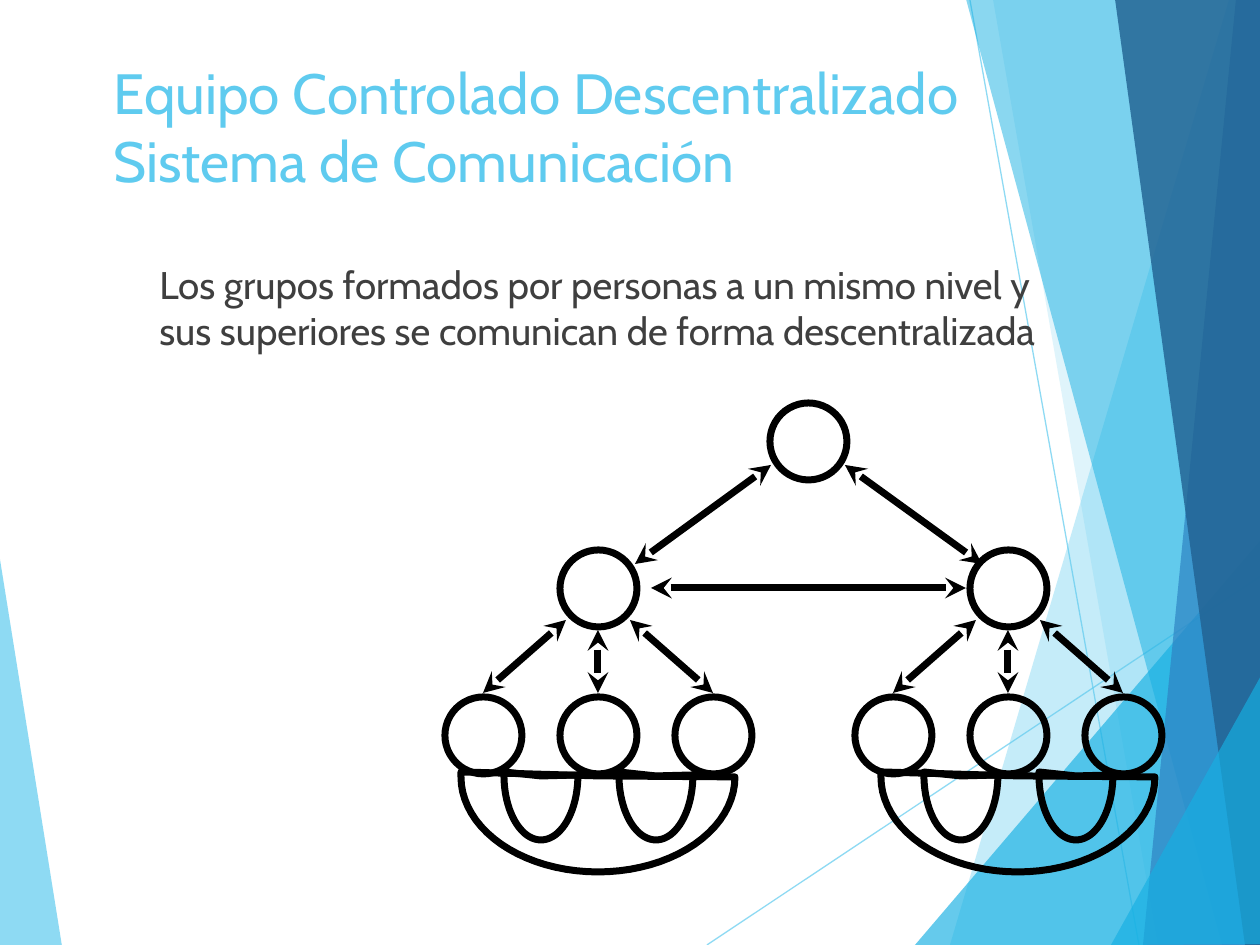
from dataclasses import dataclass
from math import cos, pi, sin

from pptx import Presentation
from pptx.dml.color import RGBColor
from pptx.enum.shapes import MSO_CONNECTOR, MSO_SHAPE
from pptx.enum.text import MSO_ANCHOR, MSO_AUTO_SIZE, PP_ALIGN
from pptx.oxml.ns import qn
from pptx.util import Pt
from lxml.etree import SubElement

PX = 7257


@dataclass(frozen=True)
class Theme:
    font: str = "Cabin"
    sky: str = "5FCBEF"
    cyan: str = "16B0E3"
    blue: str = "2E83C3"
    navy: str = "226292"
    ink: str = "000000"
    body: str = "3F3F3F"
    title_size: float = 32.4
    body_size: float = 22
    hairline: float = 0.75
    stroke: float = 4


def set_opacity(shape, percent):
    for color in shape.element.iter(qn("a:srgbClr")):
        SubElement(color, qn("a:alpha")).set("val", str(percent * 1000))


def connect(start, end, color, width, arrows=False):
    connector = slide.shapes.add_connector(
        MSO_CONNECTOR.STRAIGHT, *[value * PX for value in (*start, *end)])
    connector.line.color.rgb = RGBColor.from_string(color)
    connector.line.width = Pt(width)
    SubElement(connector.element.spPr, qn("a:effectLst"))
    if arrows:
        line = connector.element.spPr.find(qn("a:ln"))
        for end_name in ("a:headEnd", "a:tailEnd"):
            SubElement(line, qn(end_name)).set("type", "stealth")
    return connector


theme = Theme()
presentation = Presentation()
presentation.slide_width = 1260 * PX
presentation.slide_height = 945 * PX
slide = presentation.slides.add_slide(presentation.slide_layouts[5])

for start, end in [((707, 945), (1261, 576)), ((970, 0), (1139, 945))]:
    set_opacity(connect(start, end, theme.sky, theme.hairline), 70)

facets = [
    (theme.sky, 70, [(-1, 553), (62, 946), (-1, 945)]),
    (theme.sky, 36, [(1229, 0), (950, 945), (1262, 946), (1261, 0)]),
    (theme.sky, 20, [(993, -1), (1158, 945), (1261, 945), (1261, -1)]),
    (theme.cyan, 66, [(915, 945), (1260, 541), (1261, 945)]),
    (theme.cyan, 50, [(966, -1), (1222, 945), (1261, 944), (1261, -1)]),
    (theme.blue, 70, [(1236, -1), (1143, 945), (1261, 945), (1260, -1)]),
    (theme.navy, 82, [(1115, -1), (1245, 945), (1262, 945), (1260, -1)]),
    (theme.cyan, 66, [(1111, 945), (1262, 674), (1262, 944)]),
]
for color, opacity, points in facets:
    builder = slide.shapes.build_freeform(*points[0], scale=PX)
    builder.add_line_segments(points[1:], close=True)
    facet = builder.convert_to_shape()
    facet.shadow.inherit = False
    facet.fill.solid()
    facet.fill.fore_color.rgb = RGBColor.from_string(color)
    facet.line.fill.background()
    set_opacity(facet, opacity)

title = slide.shapes.title
slide.shapes.element.append(title.element)
title.left, title.top, title.width, title.height = [
    value * PX for value in (101, 47, 1134, 157)]
title.text_frame.text = "Equipo Controlado Descentralizado\vSistema de Comunicación"
title.text_frame.vertical_anchor = MSO_ANCHOR.MIDDLE
body = slide.shapes.add_textbox(147 * PX, 255 * PX, 938 * PX, 567 * PX)
body.text_frame.text = (
    "Los grupos formados por personas a un mismo nivel y sus superiores "
    "se comunican de forma descentralizada")
for shape, size, color in [(title, theme.title_size, theme.sky),
                           (body, theme.body_size, theme.body)]:
    shape.text_frame.word_wrap = True
    shape.text_frame.auto_size = MSO_AUTO_SIZE.NONE
    paragraph = shape.text_frame.paragraphs[0]
    paragraph.alignment = PP_ALIGN.LEFT
    paragraph.font.name = theme.font
    paragraph.font.size = Pt(size)
    paragraph.font.color.rgb = RGBColor.from_string(color)

node_size = 77
child_gap = 115
leaders = [598, 1008]
nodes = [(808, 441)]
links = [((635, 564), (771, 465)), ((982, 564), (845, 465)), ((651, 588), (966, 588))]
for leader in leaders:
    nodes.append((leader, 588))
    links.append(((leader, 630), (leader, 693)))
    for side in (-1, 0, 1):
        nodes.append((leader + side * child_gap, 735))
    for side in (-1, 1):
        links.append(((leader + side * child_gap, 693), (leader + side * 32, 620)))

outlines = []
for x, y in nodes:
    outlines.append(slide.shapes.add_shape(
        MSO_SHAPE.OVAL, (x - node_size // 2) * PX, (y - node_size // 2) * PX,
        node_size * PX, node_size * PX))

bowls = [(0, 137, 777, 95), (-57, 37, 775, 65), (58, 37, 775, 65)]
steps = 40
for center in (598, 1018):
    for offset, radius, rim, depth in bowls:
        middle = center + offset
        points = [(middle + radius * cos(pi * step / steps),
                   rim + depth * sin(pi * step / steps)) for step in range(steps + 1)]
        points += [(middle - radius, 772), (middle, 776)]
        points = [(round(x * PX), round(y * PX)) for x, y in points]
        builder = slide.shapes.build_freeform(*points[0])
        builder.add_line_segments(points[1:], close=True)
        outlines.append(builder.convert_to_shape())

for outline in outlines:
    outline.shadow.inherit = False
    outline.fill.background()
    outline.line.color.rgb = RGBColor.from_string(theme.ink)
    outline.line.width = Pt(theme.stroke)

for start, end in links:
    connect(start, end, theme.ink, theme.stroke, arrows=True)

presentation.save("out.pptx")
